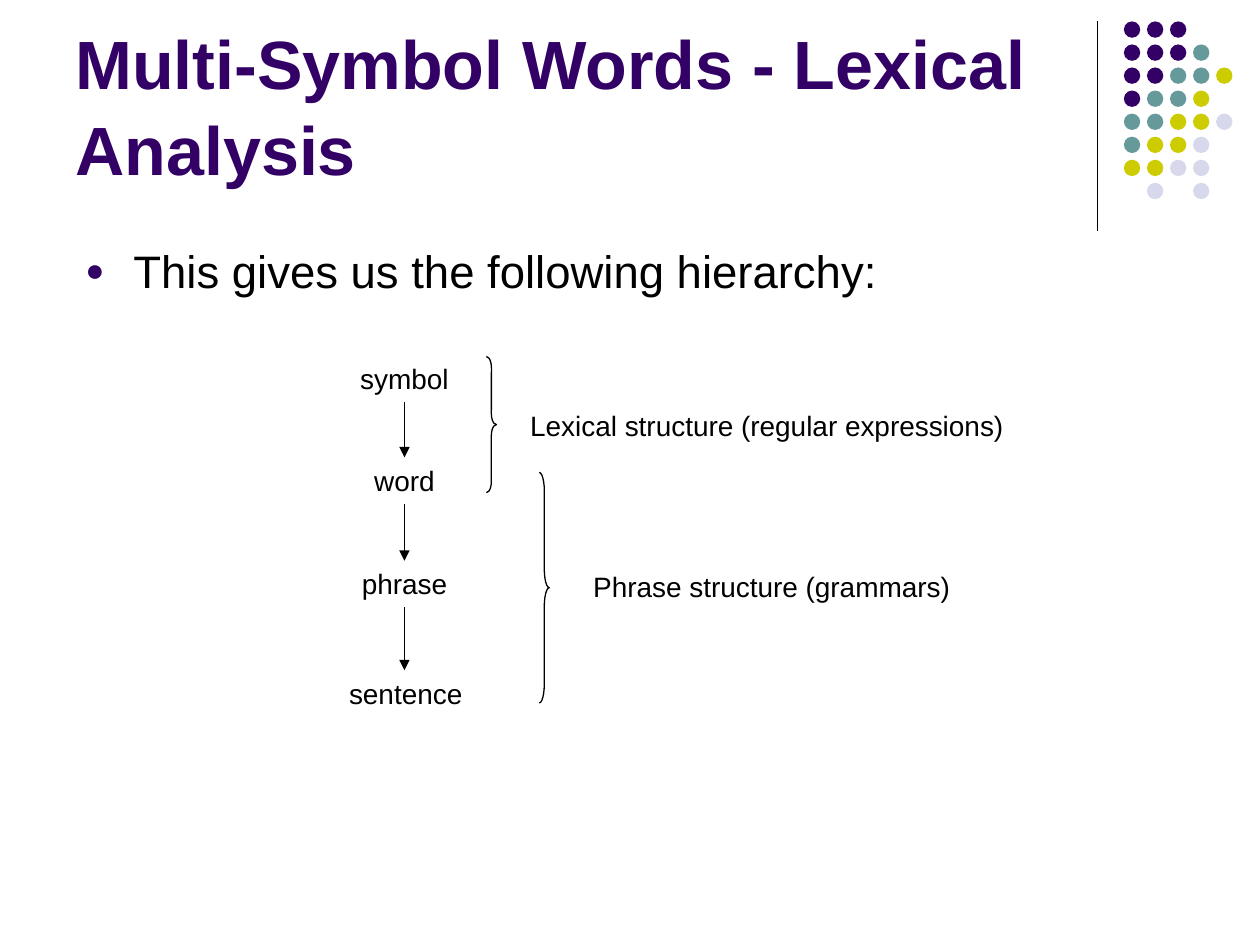
from typing import NamedTuple

from lxml.etree import SubElement
from pptx import Presentation
from pptx.dml.color import RGBColor
from pptx.enum.shapes import MSO_CONNECTOR, MSO_SHAPE
from pptx.enum.text import MSO_ANCHOR, PP_ALIGN
from pptx.oxml.ns import qn
from pptx.util import Inches, Pt

COLORS = {
    "purple": "330066",
    "teal": "669999",
    "olive": "CCCC00",
    "lavender": "D8D8EC",
    "black": "000000",
}
DOT_COLORS = {"P": "purple", "T": "teal", "O": "olive", "L": "lavender"}
DOT_ROWS = ["PPP", "PPPT", "PPTTO", "PTTO", "TTOOL", "TOOL", "OOLL", " L L"]
DOT_LEFT, DOT_TOP, DOT_SIZE, DOT_PITCH = 8.92, 0.17, 0.13, 0.183
LABEL_HEIGHT = 0.37


class Label(NamedTuple):
    text: str
    left: float
    top: float
    width: float


class Brace(NamedTuple):
    left: float
    top: float
    height: float
    curve: float


LEVELS = [
    Label("symbol", 2.76, 2.82, 0.9),
    Label("word", 2.87, 3.63, 0.68),
    Label("phrase", 2.77, 4.45, 0.88),
    Label("sentence", 2.67, 5.32, 1.1),
]
STRUCTURES = [
    Label("Lexical structure (regular expressions)", 4.11, 3.19, 3.97),
    Label("Phrase structure (grammars)", 4.61, 4.47, 3.04),
]
BRACES = [Brace(3.86, 2.83, 1.08, 1.08), Brace(4.28, 3.75, 1.83, 1.83)]


def color(name: str) -> RGBColor:
    return RGBColor.from_string(COLORS[name])


def add_text(page, label: Label, height: float, size: float,
             tint: str = "black", bold: bool = False, wrap: bool = True):
    box = page.shapes.add_textbox(Inches(label.left), Inches(label.top),
                                  Inches(label.width), Inches(height))
    box.text_frame.word_wrap = wrap
    para = box.text_frame.paragraphs[0]
    span = para.add_run()
    span.text = label.text
    span.font.name = "Arial"
    span.font.size = Pt(size)
    span.font.bold = bold
    span.font.color.rgb = color(tint)
    return box


def add_bullet(para) -> None:
    properties = para._p.get_or_add_pPr()
    properties.set("marL", str(Inches(0.38)))
    properties.set("indent", str(Inches(-0.38)))
    tint = SubElement(properties, qn("a:buClr"))
    SubElement(tint, qn("a:srgbClr"), val=COLORS["purple"])
    SubElement(properties, qn("a:buSzPct"), val="70000")
    SubElement(properties, qn("a:buFont"), typeface="Arial")
    SubElement(properties, qn("a:buChar"), char="●")


def add_line(page, x: float, top: float, bottom: float, arrow: bool = False) -> None:
    line = page.shapes.add_connector(MSO_CONNECTOR.STRAIGHT, Inches(x), Inches(top),
                                     Inches(x), Inches(bottom))
    line.line.color.rgb = color("black")
    line.line.width = Pt(0.75)
    if arrow:
        SubElement(line.line._get_or_add_ln(), qn("a:tailEnd"), type="triangle")
    SubElement(line._element.spPr, qn("a:effectLst"))


def add_dot(page, row: int, column: int, tint: str) -> None:
    dot = page.shapes.add_shape(MSO_SHAPE.OVAL,
                                Inches(DOT_LEFT + column * DOT_PITCH),
                                Inches(DOT_TOP + row * DOT_PITCH),
                                Inches(DOT_SIZE), Inches(DOT_SIZE))
    dot.shadow.inherit = False
    dot.fill.solid()
    dot.fill.fore_color.rgb = color(tint)
    dot.line.fill.background()


def add_brace(page, brace: Brace) -> None:
    shape = page.shapes.add_shape(MSO_SHAPE.RIGHT_BRACE, Inches(brace.left),
                                  Inches(brace.top), Inches(0.08), Inches(brace.height))
    shape.adjustments[0] = brace.curve
    shape.adjustments[1] = 0.5
    shape.shadow.inherit = False
    shape.fill.background()
    shape.line.color.rgb = color("black")
    shape.line.width = Pt(0.75)


def main() -> None:
    deck = Presentation()
    deck.slide_width, deck.slide_height = Inches(10), Inches(7.5)
    page = deck.slides.add_slide(deck.slide_layouts[6])

    add_line(page, 8.71, 0.17, 1.83)
    for row, letters in enumerate(DOT_ROWS):
        for column, letter in enumerate(letters):
            if letter in DOT_COLORS:
                add_dot(page, row, column, DOT_COLORS[letter])

    title = add_text(page, Label("Multi-Symbol Words - Lexical Analysis", 0.5, 0.13, 8.25),
                     1.42, 39, "purple", bold=True)
    title.text_frame.vertical_anchor = MSO_ANCHOR.BOTTOM
    title.text_frame.paragraphs[0].line_spacing = 1.05

    body = add_text(page, Label("This gives us the following hierarchy:", 0.58, 1.88, 8.42),
                    0.62, 26)
    body.text_frame.paragraphs[0].space_before = Pt(3)
    add_bullet(body.text_frame.paragraphs[0])

    for level in LEVELS:
        box = add_text(page, level, LABEL_HEIGHT, 16, wrap=False)
        box.text_frame.paragraphs[0].alignment = PP_ALIGN.CENTER
    for upper, lower in zip(LEVELS, LEVELS[1:]):
        add_line(page, 3.21, upper.top + LABEL_HEIGHT, lower.top, arrow=True)

    for brace, structure in zip(BRACES, STRUCTURES):
        add_brace(page, brace)
        add_text(page, structure, LABEL_HEIGHT, 16, wrap=False)

    deck.save("out.pptx")


if __name__ == "__main__":
    main()
